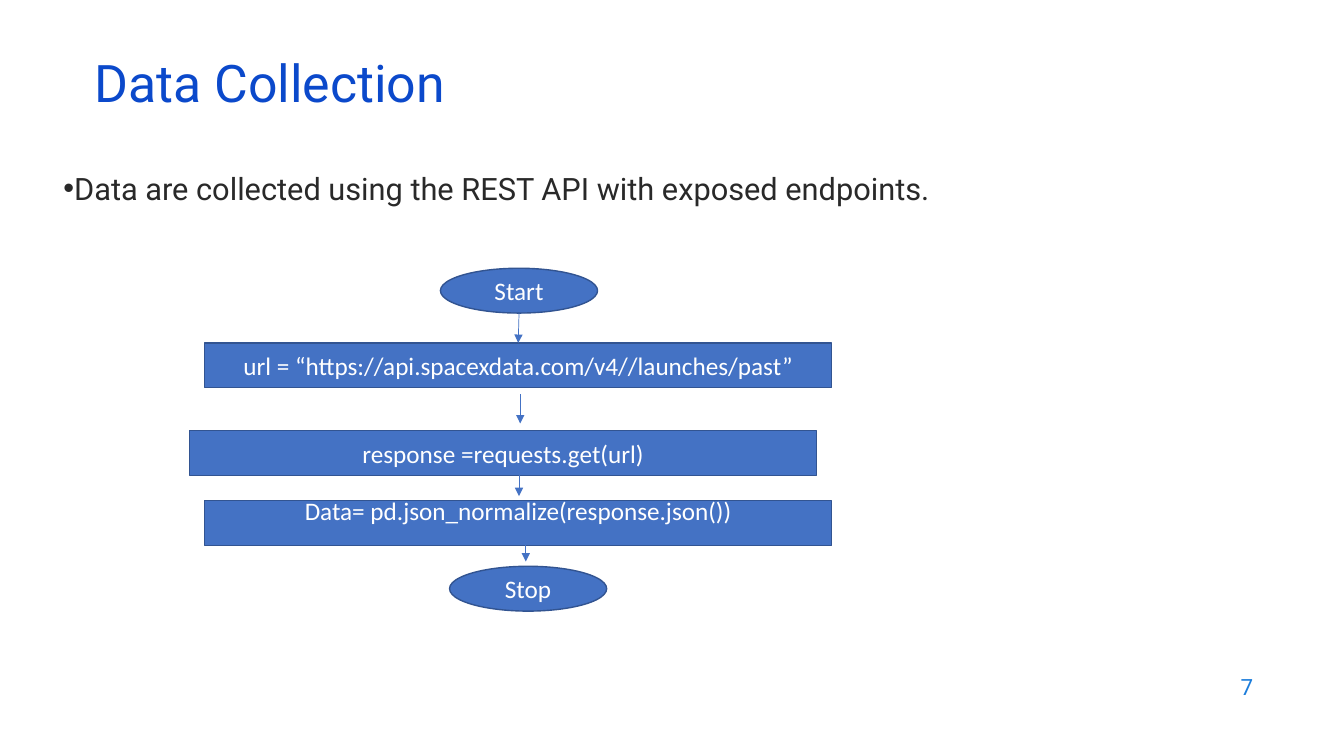
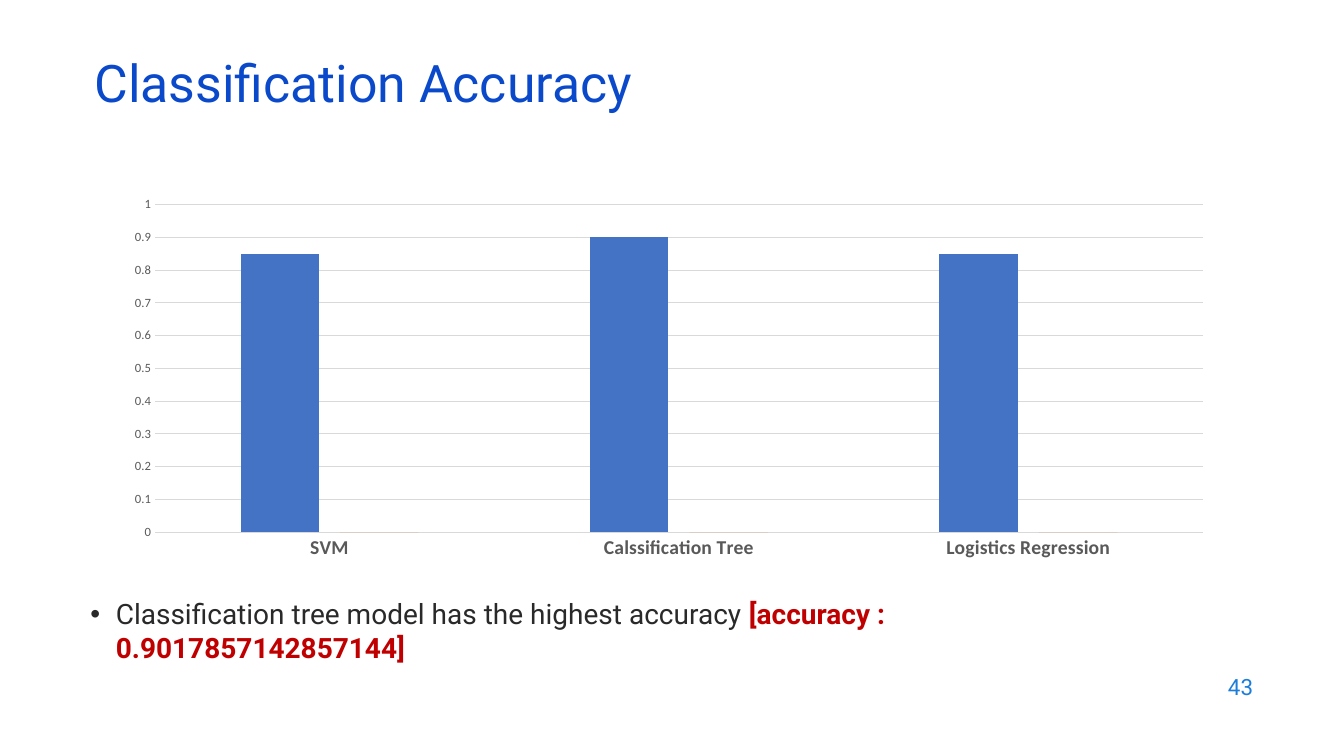
"""Build two slides: a data collection flow and a classification accuracy chart."""
from lxml import etree
from pptx import Presentation
from pptx import util as u
from pptx.chart import data
from pptx.dml import color
from pptx.enum import chart as ch, shapes, text
from pptx.oxml import ns

Cm, Pt = u.Cm, u.Pt
BLUE, OUTLINE, GRID, GREY, INK = "4472C4", "325491", "D9D9D9", "595959", "292929"


def rgb(value):
    return color.RGBColor.from_string(value)


def write(shape, words, size=18, font="Calibri", ink="FFFFFF", bold=False,
          align=text.PP_ALIGN.LEFT, anchor=text.MSO_ANCHOR.MIDDLE,
          spacing=None, hanging=None):
    frame = shape.text_frame
    frame.word_wrap = True
    frame.auto_size = text.MSO_AUTO_SIZE.NONE
    frame.vertical_anchor = anchor
    paragraph = frame.paragraphs[0]
    paragraph.alignment = align
    if spacing:
        paragraph.line_spacing = spacing
    if hanging:
        properties = paragraph._p.get_or_add_pPr()
        properties.set("marL", str(hanging))
        properties.set("indent", str(-hanging))
        etree.SubElement(properties, ns.qn("a:buFont"), typeface="Arial")
        etree.SubElement(properties, ns.qn("a:buChar"), char="•")
    run = paragraph.add_run()
    run.text = words
    run.font.size = Pt(size)
    run.font.name = font
    run.font.bold = bold
    run.font.color.rgb = rgb(ink)


deck = Presentation()
deck.slide_width, deck.slide_height = Cm(33.87), Cm(19.05)

slides = []
for heading, number in (("Data Collection", "7"), ("Classification Accuracy", "43")):
    slide = deck.slides.add_slide(deck.slide_layouts[5])
    title = slide.shapes.title
    title.left, title.top, title.width, title.height = Cm(2.13), Cm(1.5), Cm(29.21), Cm(1.52)
    write(title, heading, size=37, font="Roboto", ink="0B49CB", spacing=0.7)
    page_number = slide.shapes.add_textbox(Cm(24.21), Cm(16.74), Cm(7.62), Cm(1.12))
    write(page_number, number, size=16, font="Roboto", ink="1C7DDB", align=text.PP_ALIGN.RIGHT)
    slides.append(slide)
collection, accuracy = slides

summary = collection.shapes.add_textbox(Cm(1.35), Cm(4.14), Cm(29.21), Cm(1.52))
write(summary, "Data are collected using the REST API with exposed endpoints.", size=22,
      font="Roboto", ink=INK, anchor=text.MSO_ANCHOR.TOP, hanging=Cm(0.25))

OVAL, BOX = shapes.MSO_SHAPE.OVAL, shapes.MSO_SHAPE.RECTANGLE
widths = {OVAL: 3.96, BOX: 15.8}
steps = []
for kind, left, top, label in (
    (OVAL, 11.1, 6.76, "Start"),
    (BOX, 5.16, 8.64, "url = “https://api.spacexdata.com/v4//launches/past”"),
    (BOX, 4.78, 10.85, "response =requests.get(url)"),
    (BOX, 5.16, 12.62, "Data= pd.json_normalize(response.json())"),
    (OVAL, 11.33, 14.27, "Stop"),
):
    step = collection.shapes.add_shape(kind, Cm(left), Cm(top), Cm(widths[kind]), Cm(1.13))
    step.shadow.inherit = False
    step.fill.solid()
    step.fill.fore_color.rgb = rgb(BLUE)
    step.line.color.rgb = rgb(OUTLINE)
    step.line.width = Pt(1)
    write(step, label, align=text.PP_ALIGN.CENTER)
    steps.append(step)
start, url, response, normalize, stop = steps
normalize.text_frame.margin_bottom = Cm(0.79)

arrows = []
for x, top in ((13.08, 7.89), (13.11, 9.93), (13.08, 11.76), (13.25, 13.41)):
    arrow = collection.shapes.add_connector(
        shapes.MSO_CONNECTOR.STRAIGHT, Cm(x), Cm(top), Cm(x), Cm(top + 0.74))
    arrow.line.color.rgb = rgb(BLUE)
    arrow.line.width = Pt(0.5)
    etree.SubElement(arrow.line._get_or_add_ln(), ns.qn("a:tailEnd"), type="triangle")
    etree.SubElement(arrow._element.spPr, ns.qn("a:effectLst"))
    arrows.append(arrow)
arrows[0].end_connect(url, 0)

scores = data.CategoryChartData()
scores.categories = ["SVM", "Calssification Tree", "Logistics Regression"]
scores.add_series("Series 1", (0.85, 0.9, 0.85))
scores.add_series("Series 2", (0, 0, 0))
chart = accuracy.shapes.add_chart(
    ch.XL_CHART_TYPE.COLUMN_CLUSTERED, Cm(2.84), Cm(4.78), Cm(28.04), Cm(9.53), scores).chart
chart.has_legend = False
chart.has_title = False
chart.font.name = "Calibri"
chart.font.size = Pt(10)
chart.font.color.rgb = rgb("000000")
plot = chart.plots[0]
plot.vary_by_categories = False
plot.gap_width, plot.overlap = 219, -27
for series, fill in zip(plot.series, (BLUE, "ED7D31")):
    series.format.fill.solid()
    series.format.fill.fore_color.rgb = rgb(fill)

models, values = chart.category_axis, chart.value_axis
for axis, size, bold in ((models, 14, True), (values, 9, False)):
    axis.major_tick_mark = axis.minor_tick_mark = ch.XL_TICK_MARK.NONE
    labels = axis.tick_labels.font
    labels.name, labels.size, labels.bold = "Calibri", Pt(size), bold
    labels.color.rgb = rgb(GREY)
values.minimum_scale, values.maximum_scale, values.major_unit = 0, 1, 0.1
values.format.line.fill.background()
for line in (models.format.line, values.major_gridlines.format.line):
    line.color.rgb = rgb(GRID)
    line.width = Pt(0.75)

finding = accuracy.shapes.add_textbox(Cm(2.03), Cm(14.91), Cm(27.36), Cm(1.88))
finding_style = {"size": 20, "font": "Roboto", "anchor": text.MSO_ANCHOR.TOP}
write(finding, "Classification tree model has the highest accuracy ", ink=INK,
      hanging=Cm(0.64), **finding_style)
write(finding, "[accuracy : 0.9017857142857144]", ink="C00000", bold=True, **finding_style)

deck.save("out.pptx")
